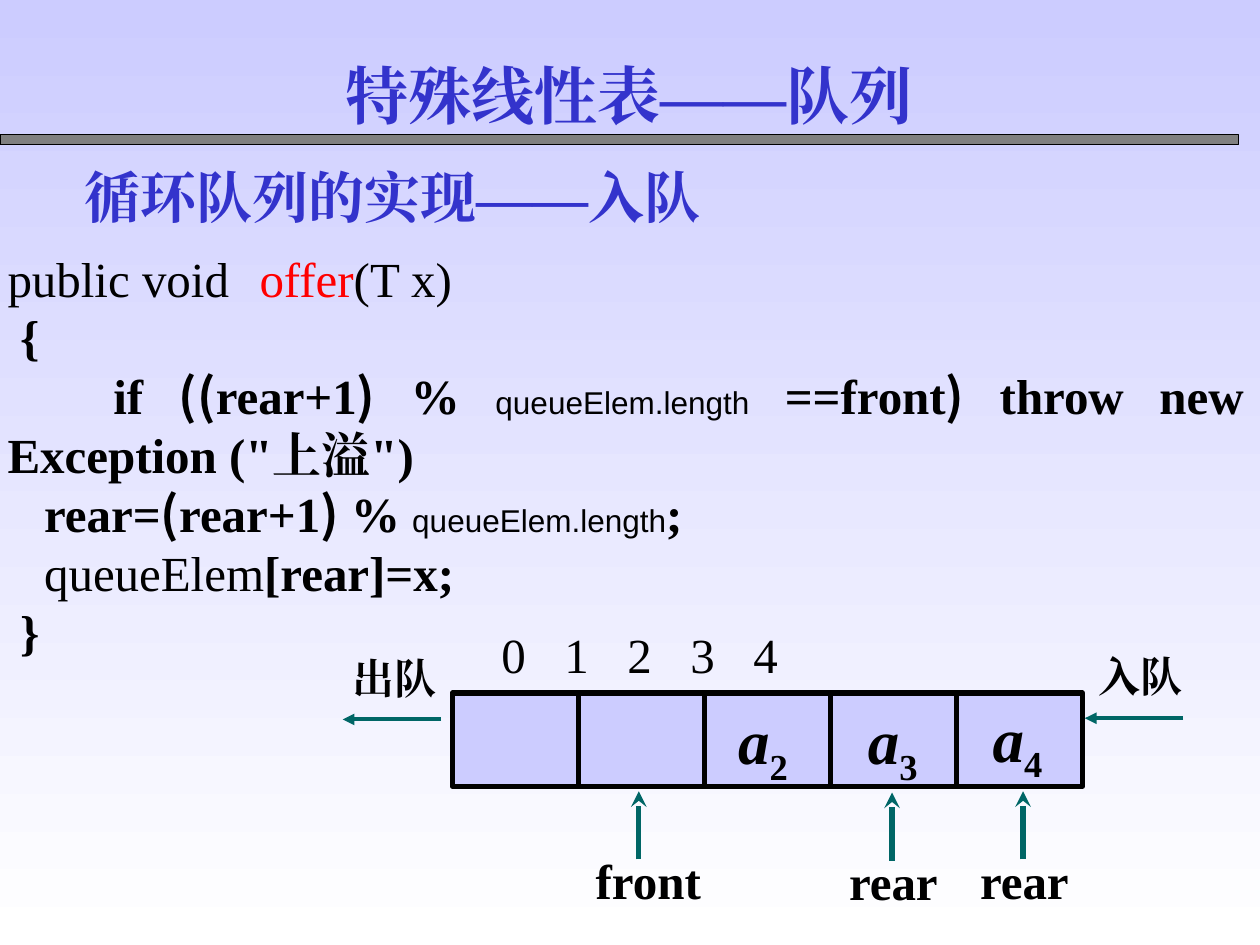
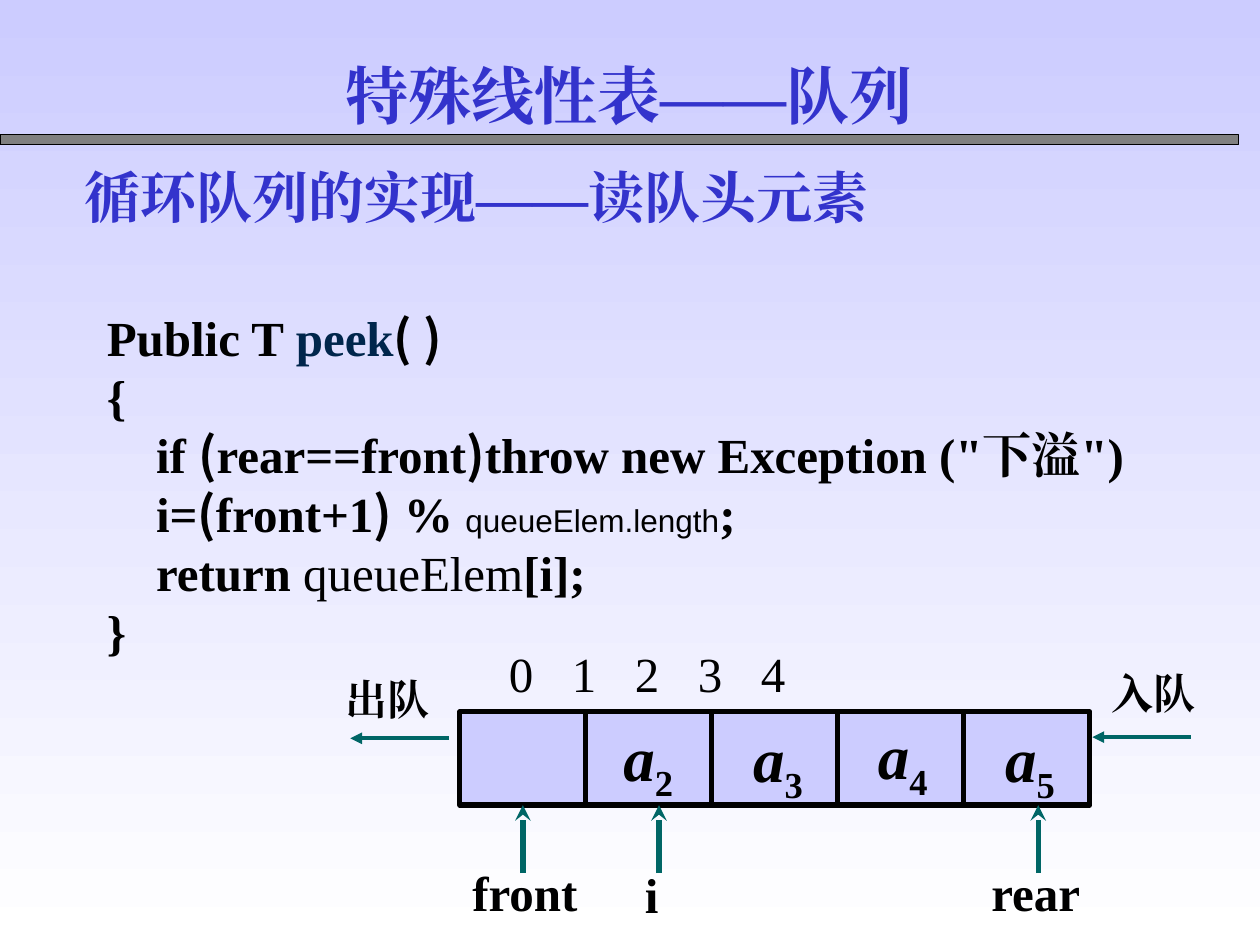
from lxml import etree
from pptx import Presentation
from pptx import util as u
from pptx.dml import color
from pptx.enum import shapes, text
from pptx.oxml import ns

SERIF, CJK, SANS = "Times New Roman", "Noto Sans CJK SC", "Arial"
BLACK, BLUE, TEAL, LILAC = "000000", "3333CC", "006666", "CCCCFF"
WIDTH, HEIGHT = 10, 7.5
CELLS, CELL_W, CELL_H = 5, 1, 0.74
INDEX_TABS = (0.97, 1.94, 3.01, 3.98)
TITLE = "特殊线性表——队列"

PLAIN = {"size": 28}
BOLD = {"size": 28, "bold": True}
PAREN = {**BOLD, "face": CJK}
SMALL = {"size": 18, "face": SANS}
INDEXED = {"size": 36, "bold": True, "italic": True}
SUBSCRIPT = {"size": 36, "bold": True, "baseline": -25}
NEXT_SLOT = [("(", PAREN), ("rear+1", BOLD), (")", PAREN), (" % ", BOLD),
             ("queueElem.length", SMALL)]

PAGES = [
    {
        "subtitle": "循环队列的实现——入队",
        "code_at": (0.06, 1.92, 9.81, 3.37),
        "code_inset": 0,
        "code": [
            (0, [("public void\t", PLAIN), ("offer", {**PLAIN, "ink": "FF0000"}), ("(T x)", PLAIN)], (1.95,)),
            (0.1, [("{", BOLD)]),
            (0.84, [("if ", BOLD), ("(", PAREN), *NEXT_SLOT, (" ==front", BOLD), (")", PAREN),
                    (' throw new Exception ("上溢")', BOLD)]),
            (0.29, [("rear=", BOLD), *NEXT_SLOT, (";", BOLD)]),
            (0.29, [("queueElem", PLAIN), ("[rear]=x;", BOLD)]),
            (0.1, [("}", BOLD)]),
        ],
        "queue_at": (3.59, 5.5),
        "elements": [(2, "2", 0.17, 0.02), (3, "3", 0.2, 0.02), (4, "4", 0.19, 0)],
        "enqueue_at": (5.03, -0.39),
        "dequeue_at": (-0.89, -0.37),
        "pointers": [("front", 5.07, 6.28, 4.63, 6.7, 0), ("rear", 7.08, 6.29, 6.64, 6.71, 0),
                     ("rear", 8.12, 6.28, 7.68, 6.7, 0)],
    },
    {
        "subtitle": "循环队列的实现——读队头元素",
        "code_at": (0.75, 2.39, 8.67, 2.9),
        "code_inset": 0.1,
        "code": [
            (0, [("Public T\t", BOLD), ("peek", {**BOLD, "ink": "00264C"}), ("( )", PAREN)], (1.6,)),
            (0, [("{", BOLD)]),
            (0.39, [("if ", BOLD), ("(", PAREN), ("rear==front", BOLD), (")", PAREN),
                    ('throw new Exception ("下溢")', BOLD)]),
            (0.39, [("i=", BOLD), ("(", PAREN), ("front+1", BOLD), *NEXT_SLOT[2:], (";", BOLD)]),
            (0.39, [("return ", BOLD), ("queueElem", PLAIN), ("[i];", BOLD)]),
            (0, [("}", BOLD)]),
        ],
        "queue_at": (3.65, 5.65),
        "elements": [(1, "2", 0.2, 0), (2, "3", 0.23, 0.01), (3, "4", 0.22, -0.01), (4, "5", 0.23, 0.01)],
        "enqueue_at": (5.07, -0.4),
        "dequeue_at": (-1.01, -0.35),
        "pointers": [("front", 4.15, 6.39, 3.65, 6.8, 0), ("i", 5.23, 6.39, 4.73, 6.81, 0.29),
                     ("rear", 8.24, 6.39, 7.77, 6.8, 0)],
    },
]


def rgb(value):
    return color.RGBColor.from_string(value)


def inches(*lengths):
    return [u.Inches(length) for length in lengths]


def add_run(paragraph, words, size, bold=False, italic=False, ink=BLACK, face=SERIF, baseline=0):
    run = paragraph.add_run()
    run.text = words
    font = run.font
    font.size, font.bold, font.italic, font.name = u.Pt(size), bold, italic, face
    font.color.rgb = rgb(ink)
    props = run._r.get_or_add_rPr()
    etree.SubElement(props, ns.qn("a:ea")).set("typeface", face)
    if baseline:
        props.set("baseline", str(baseline * 1000))
    return run


def set_frame(frame, inset=0.1):
    frame.word_wrap = True
    frame.auto_size = text.MSO_AUTO_SIZE.SHAPE_TO_FIT_TEXT
    frame.vertical_anchor = text.MSO_ANCHOR.TOP
    frame.margin_left = frame.margin_right = u.Inches(inset)
    frame.margin_top = frame.margin_bottom = u.Inches(0.05)


def add_text(slide, at, lines, inset=0.1, align=text.PP_ALIGN.LEFT):
    frame = slide.shapes.add_textbox(*inches(*at)).text_frame
    set_frame(frame, inset)
    for number, (indent, runs, *stops) in enumerate(lines):
        paragraph = frame.add_paragraph() if number else frame.paragraphs[0]
        paragraph.alignment = align
        props = paragraph._p.get_or_add_pPr()
        props.set("marL", "0")
        props.set("indent", str(u.Inches(indent)))
        if stops:
            tabs = etree.SubElement(props, ns.qn("a:tabLst"))
            for stop in stops[0]:
                etree.SubElement(tabs, ns.qn("a:tab"), pos=str(u.Inches(stop)), algn="l")
        for words, style in runs:
            add_run(paragraph, words, **style)


def add_box(slide, at, fill, line_width):
    box = slide.shapes.add_shape(shapes.MSO_SHAPE.RECTANGLE, *inches(*at))
    box.shadow.inherit = False
    box.fill.solid()
    box.fill.fore_color.rgb = rgb(fill)
    box.line.color.rgb = rgb(BLACK)
    box.line.width = u.Pt(line_width)
    return box


def add_arrow(slide, start, end, width, head):
    arrow = slide.shapes.add_connector(shapes.MSO_CONNECTOR.STRAIGHT, *inches(*start, *end))
    arrow.line.color.rgb = rgb(TEAL)
    arrow.line.width = u.Pt(width)
    etree.SubElement(arrow.line._get_or_add_ln(), ns.qn("a:tailEnd")).set("type", head)
    etree.SubElement(arrow._element.spPr, ns.qn("a:effectLst"))
    return arrow


def set_backdrop(layout, slide):
    fill = layout.background.fill
    fill.gradient()
    fill.gradient_angle = 270
    for stop, (position, tint) in zip(fill.gradient_stops, [(0, LILAC), (1, "FFFFFF")]):
        stop.position = position
        stop.color.rgb = rgb(tint)
    band = add_box(slide, (0, 1.07, 9.83, 0.08), "808080", 0.75)
    layout.shapes.element.append(band.element)


def set_title(slide):
    title = slide.shapes.title
    title.left, title.top, title.width, title.height = inches(2.64, 0.4, 5.89, 0.7)
    set_frame(title.text_frame)
    paragraph = title.text_frame.paragraphs[0]
    paragraph.alignment = text.PP_ALIGN.LEFT
    run = add_run(paragraph, TITLE, 36, bold=True, ink=BLUE)
    effects = etree.Element(ns.qn("a:effectLst"))
    shadow = etree.SubElement(effects, ns.qn("a:outerShdw"), dist="35921", dir="2700000")
    etree.SubElement(shadow, ns.qn("a:srgbClr")).set("val", "808080")
    run._r.rPr.find(ns.qn("a:solidFill")).addnext(effects)


def draw_queue(slide, page):
    left, top = page["queue_at"]
    bottom = top + CELL_H
    cells = [add_box(slide, (left + n * CELL_W, top, CELL_W, CELL_H), LILAC, 3) for n in range(CELLS)]
    indexes = "\t".join(str(n) for n in range(CELLS))
    add_text(slide, (left + 0.29, top - 0.59, 4.68, 0.57), [(0, [(indexes, PLAIN)], INDEX_TABS)])

    for words, offset, start, end, drop in [("入队", page["enqueue_at"], 5.8, 5.02, 0.2),
                                            ("出队", page["dequeue_at"], -0.09, -0.87, 0.21)]:
        add_arrow(slide, (left + start, top + drop), (left + end, top + drop), 2.25, "triangle")
        add_text(slide, (left + offset[0], top + offset[1], 1.08, 0.5),
                 [(0, [(words, {"size": 24, "bold": True})])])

    for cell, subscript, dx, dy in page["elements"]:
        add_text(slide, (left + cell * CELL_W + dx, top + dy, 0.64, 0.79),
                 [(0, [("a", INDEXED), (subscript, SUBSCRIPT)])])

    for label, x, tip, label_left, label_top, indent in page["pointers"]:
        arrow = add_arrow(slide, (x, tip + 0.54), (x, tip), 3, "stealth")
        for n, cell in enumerate(cells):
            centre = left + (n + 0.5) * CELL_W
            if abs(x - centre) < 0.005 and abs(tip - bottom) < 0.005:
                arrow.end_connect(cell, 2)
        add_text(slide, (label_left, label_top, 1.1, 0.57), [(indent, [(label, BOLD)])])


def main():
    deck = Presentation()
    deck.slide_width, deck.slide_height = inches(WIDTH, HEIGHT)
    layout = deck.slide_layouts[5]
    for number, page in enumerate(PAGES):
        slide = deck.slides.add_slide(layout)
        if number == 0:
            set_backdrop(layout, slide)
        set_title(slide)
        add_text(slide, page["code_at"], page["code"], page["code_inset"], text.PP_ALIGN.JUSTIFY)
        add_text(slide, (0.57, 1.24, 6.75, 0.64),
                 [(0, [(page["subtitle"], {"size": 32, "bold": True, "ink": BLUE})])])
        draw_queue(slide, page)
    deck.save("out.pptx")


if __name__ == "__main__":
    main()
